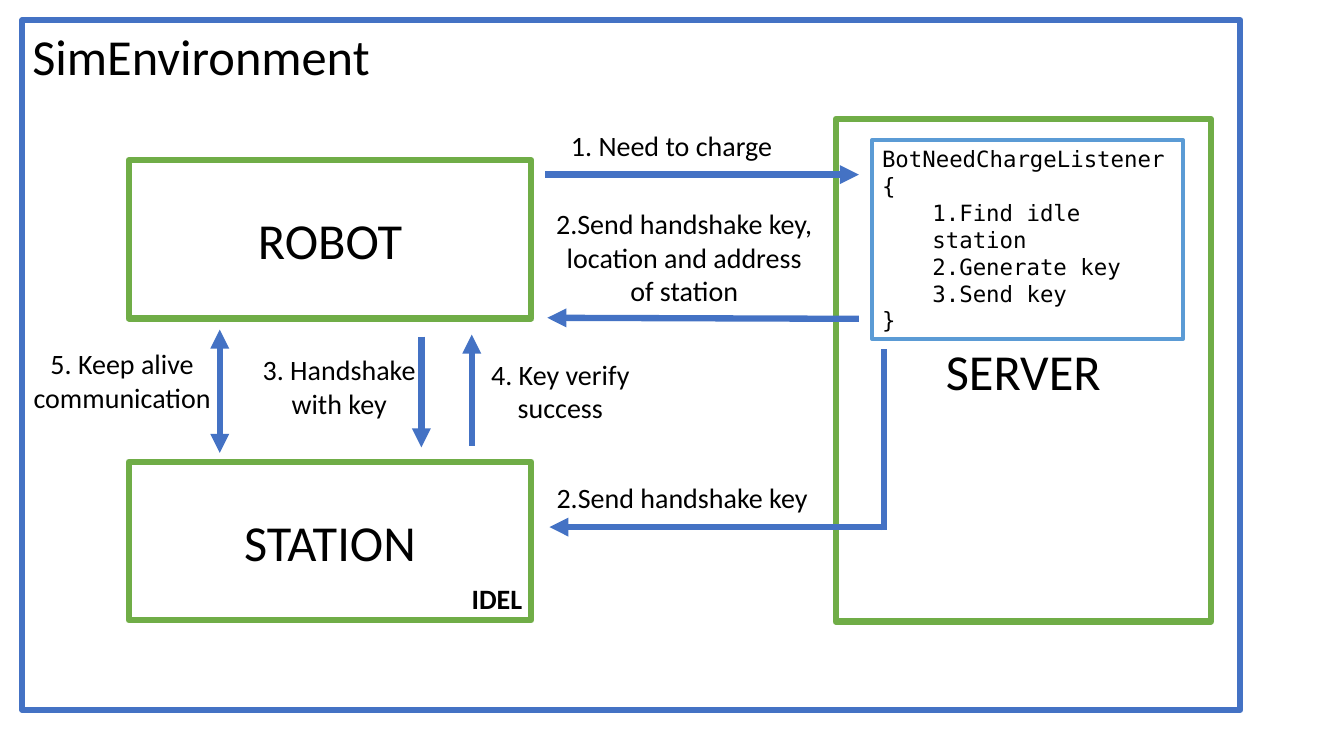
"""Build the SimEnvironment slide: robot, station and server charging handshake."""
import dataclasses

import lxml.etree
import pptx
import pptx.dml.color
import pptx.enum.shapes
import pptx.enum.text
import pptx.oxml.ns
import pptx.util

Pt = pptx.util.Pt
Align = pptx.enum.text.PP_ALIGN
Anchor = pptx.enum.text.MSO_ANCHOR
Color = pptx.dml.color.RGBColor.from_string


@dataclasses.dataclass(frozen=True)
class Theme:
    blue: str = "4472C4"
    green: str = "70AD47"
    light_blue: str = "5B9BD5"
    white: str = "FFFFFF"
    black: str = "000000"
    body_font: str = "Calibri"
    code_font: str = "DejaVu Sans Mono"
    name_size: int = 36
    label_size: int = 20
    code_size: int = 16
    thick: float = 4.5
    thin: float = 3


theme = Theme()


def write_lines(frame, lines, font_name, size, alignment, bold=False):
    """Fill a text frame with (text, level) lines in one style."""
    frame.word_wrap = True
    for index, (text, level) in enumerate(lines):
        paragraph = frame.add_paragraph() if index else frame.paragraphs[0]
        paragraph.text = text
        paragraph.level = level
        paragraph.alignment = alignment
        paragraph.font.name = font_name
        paragraph.font.size = Pt(size)
        paragraph.font.bold = bold
        paragraph.font.color.rgb = Color(theme.black)


presentation = pptx.Presentation()
presentation.slide_width = Pt(960)
presentation.slide_height = Pt(540)
slide = presentation.slides.add_slide(presentation.slide_layouts[6])

name_style = (theme.body_font, theme.name_size)
code_style = (theme.code_font, theme.code_size)
listener_lines = [
    ("BotNeedChargeListener {", 0),
    ("1.Find idle station", 1),
    ("2.Generate key", 1),
    ("3.Send key", 1),
    ("}", 0),
]
boxes = [
    ((16, 14.5, 870, 492.5), theme.blue, theme.thick,
     [("SimEnvironment", 0)], name_style, Align.LEFT, Anchor.TOP),
    ((597, 85, 268, 359), theme.green, theme.thick,
     [("SERVER", 0)], name_style, Align.CENTER, Anchor.MIDDLE),
    ((92, 114.5, 287.5, 113), theme.green, theme.thick,
     [("ROBOT", 0)], name_style, Align.CENTER, Anchor.MIDDLE),
    ((92, 330, 287.5, 113), theme.green, theme.thick,
     [("STATION", 0)], name_style, Align.CENTER, Anchor.MIDDLE),
    ((623, 100, 222, 142), theme.light_blue, theme.thin,
     listener_lines, code_style, Align.LEFT, Anchor.MIDDLE),
]
for bounds, color, width, lines, style, alignment, anchor in boxes:
    box = slide.shapes.add_shape(
        pptx.enum.shapes.MSO_SHAPE.RECTANGLE, *map(Pt, bounds))
    box.shadow.inherit = False
    box.fill.solid()
    box.fill.fore_color.rgb = Color(theme.white)
    box.line.color.rgb = Color(color)
    box.line.width = Pt(width)
    box.text_frame.vertical_anchor = anchor
    write_lines(box.text_frame, lines, *style, alignment)

arrows = [
    ((389.5, 124.75, 613.5, 124.75), ["tailEnd"]),
    ((613.5, 227.75, 391, 227), ["tailEnd"]),
    ((631.5, 376.5, 392.5, 376.5), ["tailEnd"]),
    ((301, 240.5, 301, 319.5), ["tailEnd"]),
    ((337, 318.5, 337, 239), ["tailEnd"]),
    ((157, 323.5, 157, 235.5), ["headEnd", "tailEnd"]),
    ((631.5, 378.75, 631.5, 249), []),
]
for ends, heads in arrows:
    arrow = slide.shapes.add_connector(
        pptx.enum.shapes.MSO_CONNECTOR.STRAIGHT, *map(Pt, ends))
    arrow.line.color.rgb = Color(theme.blue)
    arrow.line.width = Pt(theme.thick)
    line_xml = arrow.line._get_or_add_ln()
    for head in heads:
        lxml.etree.SubElement(
            line_xml, pptx.oxml.ns.qn(f"a:{head}"), type="triangle")
    lxml.etree.SubElement(
        arrow._element.spPr, pptx.oxml.ns.qn("a:effectLst"))

labels = [
    ("1. Need to charge", (357, 88, 245.5, 31.5), False),
    ("IDEL", (320.5, 412, 69, 31.5), True),
    ("2.Send handshake key, location and address of station",
     (389, 144, 199.5, 80), False),
    ("2.Send handshake key", (364.5, 340, 245.5, 31.5), False),
    ("3. Handshake with key", (171, 248.5, 142.5, 55.5), False),
    ("4. Key verify success", (329, 251.5, 142.5, 55.5), False),
    ("5. Keep alive communication", (16, 244, 142.5, 55.5), False),
]
for text, bounds, bold in labels:
    label = slide.shapes.add_textbox(*map(Pt, bounds))
    write_lines(label.text_frame, [(text, 0)], theme.body_font,
                theme.label_size, Align.CENTER, bold)

presentation.save("out.pptx")
